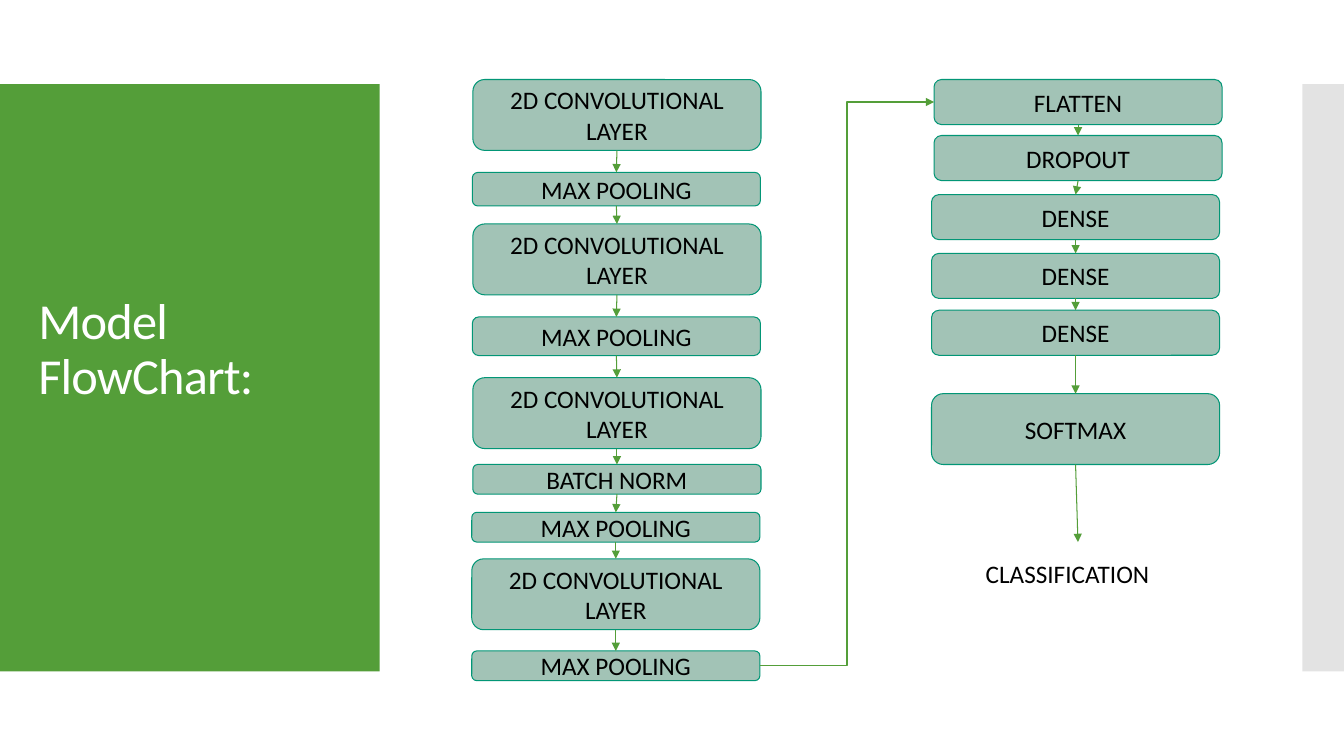
import pptx
import pptx.dml.color
import pptx.enum.shapes
import pptx.enum.text
import pptx.oxml
import pptx.oxml.ns
import pptx.oxml.xmlchemy
import pptx.util

Pt = pptx.util.Pt
qn = pptx.oxml.ns.qn
SHAPE = pptx.enum.shapes.MSO_SHAPE
CONNECTOR = pptx.enum.shapes.MSO_CONNECTOR
ALIGN = pptx.enum.text.PP_ALIGN
ANCHOR = pptx.enum.text.MSO_ANCHOR
GREEN = "549E39"


def paint(color_format, color):
    color_format.rgb = pptx.dml.color.RGBColor.from_string(color)


def write(para, text, size, color):
    span = para.add_run()
    span.text = text
    span.font.name = "Calibri"
    span.font.size = Pt(size)
    paint(span.font.color, color)


deck = pptx.Presentation()
deck.slide_width = Pt(960)
deck.slide_height = Pt(540)
page = deck.slides.add_slide(deck.slide_layouts[5])

title = page.shapes.title
title.left, title.top, title.width, title.height = Pt(20.2), Pt(88.6), Pt(231.8), Pt(362.2)
frame = title.text_frame
frame.word_wrap = True
frame.auto_size = pptx.enum.text.MSO_AUTO_SIZE.NONE
frame.vertical_anchor = ANCHOR.MIDDLE
frame.margin_bottom = Pt(42)
para = frame.paragraphs[0]
para.alignment = ALIGN.LEFT
para.line_spacing = 0.9
write(para, "Model FlowChart:", 36, "FFFFFF")
for properties in title.element.iter(qn("a:rPr")):
    properties.set("spc", "-60")

for left, width, color in [(0, 271.2, GREEN), (930.2, 29.8, "C8C8C8")]:
    panel = page.shapes.add_shape(SHAPE.RECTANGLE, Pt(left), Pt(60), Pt(width), Pt(419.5))
    panel.shadow.inherit = False
    panel.fill.solid()
    paint(panel.fill.fore_color, color)
    panel.line.fill.background()
    title.element.addprevious(panel.element)
shade = panel.element.spPr.find(qn("a:solidFill"))[0]
alpha = pptx.oxml.xmlchemy.OxmlElement("a:alpha")
alpha.set("val", "50000")
shade.append(alpha)

layers = [
    ("2D CONVOLUTIONAL LAYER", 337.8, 56.8, 50.6),
    ("MAX POOLING", 337.4, 123.1, 24),
    ("2D CONVOLUTIONAL LAYER", 337.8, 160, 50.6),
    ("MAX POOLING", 337.4, 226.4, 27.6),
    ("2D CONVOLUTIONAL LAYER", 337.8, 269.8, 50.6),
    ("BATCH NORM", 337.8, 331.8, 21.2),
    ("MAX POOLING", 337, 366, 21.2),
    ("2D CONVOLUTIONAL LAYER", 337, 399.2, 50.6),
    ("MAX POOLING", 337, 465, 21.2),
    ("FLATTEN", 667.2, 56.8, 32.2),
    ("DROPOUT", 667.2, 96.8, 32.2),
    ("DENSE", 665.4, 139, 32.2),
    ("DENSE", 665.4, 181, 32.2),
    ("DENSE", 665.4, 221.6, 32.2),
    ("SOFTMAX", 665.4, 281.2, 50.6),
]
boxes = []
for name, left, top, height in layers:
    box = page.shapes.add_shape(
        SHAPE.ROUNDED_RECTANGLE, Pt(left), Pt(top), Pt(205.8), Pt(height)
    )
    box.shadow.inherit = False
    box.fill.solid()
    paint(box.fill.fore_color, "A2C3B6")
    paint(box.line.color, "029676")
    box.line.width = Pt(0.75)
    box.text_frame.vertical_anchor = ANCHOR.MIDDLE
    para = box.text_frame.paragraphs[0]
    para.alignment = ALIGN.CENTER
    write(para, name, 18, "000000")
    boxes.append(box)

for source, target in zip(boxes, boxes[1:] + [None]):
    turns = target is not None and target.top < source.top
    kind = CONNECTOR.ELBOW if turns else CONNECTOR.STRAIGHT
    arrow = page.shapes.add_connector(kind, 0, 0, Pt(770), Pt(387.2))
    arrow.begin_connect(source, 3 if turns else 2)
    if target is not None:
        arrow.end_connect(target, 1 if turns else 0)
    paint(arrow.line.color, GREEN)
    arrow.line.width = Pt(0.75)
    head = pptx.oxml.xmlchemy.OxmlElement("a:tailEnd")
    head.set("type", "triangle")
    arrow.element.spPr.find(qn("a:ln")).append(head)
    arrow.element.spPr.append(pptx.oxml.xmlchemy.OxmlElement("a:effectLst"))

result = page.shapes.add_textbox(Pt(697), Pt(395.5), Pt(146), Pt(29))
result.text_frame.word_wrap = False
result.text_frame.auto_size = pptx.enum.text.MSO_AUTO_SIZE.SHAPE_TO_FIT_TEXT
write(result.text_frame.paragraphs[0], "CLASSIFICATION", 18, "000000")

deck.save("out.pptx")
